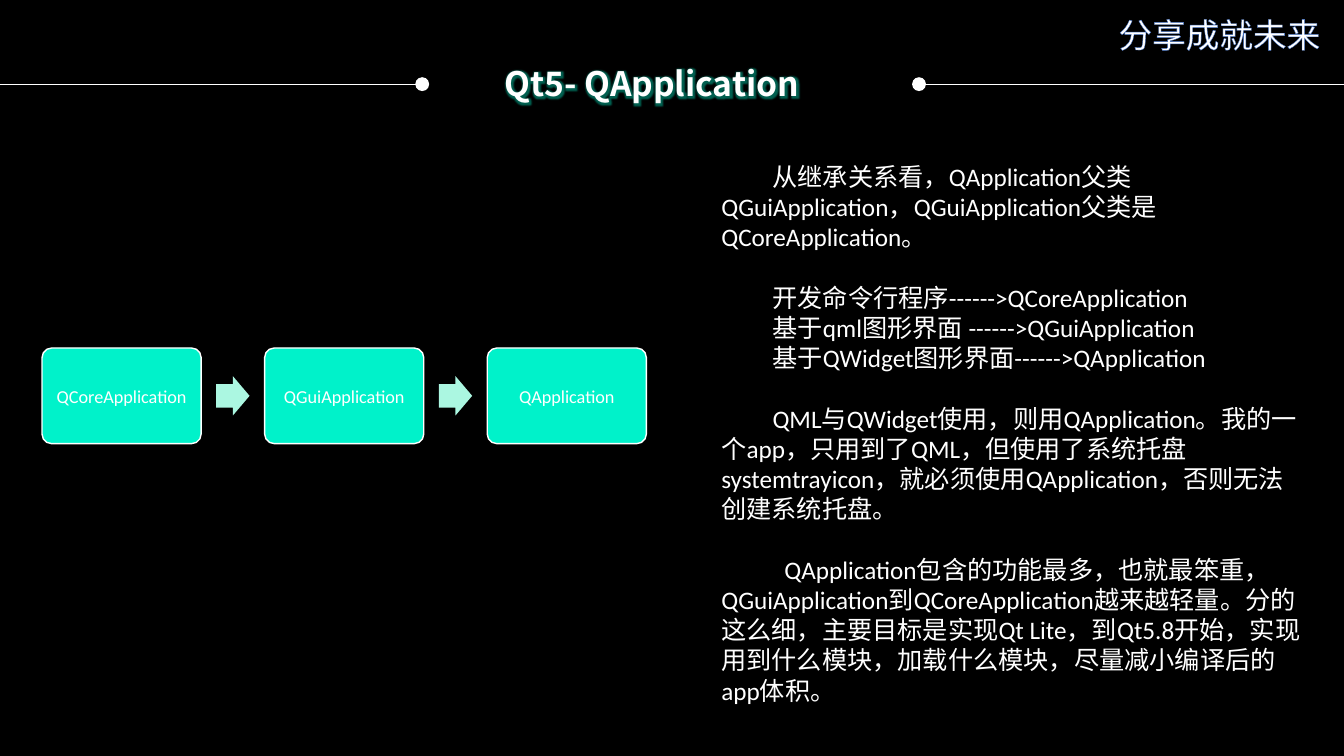
"""Build the Qt5 QApplication slide: title bar, class chain and explanation."""
import pptx
import pptx.dml.color
import pptx.enum.shapes
import pptx.enum.text
import pptx.oxml
import pptx.oxml.ns
import pptx.util

Cm = pptx.util.Cm
Pt = pptx.util.Pt
RGB = pptx.dml.color.RGBColor
SHAPE = pptx.enum.shapes.MSO_SHAPE
ALIGN = pptx.enum.text.PP_ALIGN
NS = pptx.oxml.ns.nsdecls("a")

TITLE = "Qt5- QApplication"
SLOGAN = "分享成就未来"
CHAIN = ["QCoreApplication", "QGuiApplication", "QApplication"]
# SECTION
BODY = [
    (1.29, 0, "从继承关系看，QApplication父类QGuiApplication，"
     "QGuiApplication父类是QCoreApplication。"),
    (1.29, 21.5, "开发命令行程序------>QCoreApplication"),
    (1.29, 0, "基于qml图形界面 ------>QGuiApplication"),
    (1.29, 0, "基于QWidget图形界面------>QApplication"),
    (1.29, 21.5, "QML与QWidget使用，则用QApplication。我的一个app，只用到了QML，"
     "但使用了系统托盘systemtrayicon，就必须使用QApplication，否则无法创建系统托盘。"),
    (1.59, 21.5, "QApplication包含的功能最多，也就最笨重，"
     "QGuiApplication到QCoreApplication越来越轻量。分的这么细，主要目标是实现Qt Lite，"
     "到Qt5.8开始，实现用到什么模块，加载什么模块，尽量减小编译后的app体积。"),
]
RULES = [(0, 10.64), (33.87, 23.16)]

BLACK = RGB(0, 0, 0)
WHITE = RGB(255, 255, 255)
TEAL = RGB(0x00, 0xF2, 0xCA)
MINT = RGB(0xAB, 0xF7, 0xE1)
BLUE = RGB(0x44, 0x72, 0xC4)


def style(para, size, face="Calibri", bold=False):
    font = para.font
    font.size, font.name, font.bold = Pt(size), face, bold
    font.color.rgb = WHITE


def add_xml(node, tag, inner="", attrs=""):
    node.append(pptx.oxml.parse_xml(f"<a:{tag} {NS} {attrs}>{inner}</a:{tag}>"))


def add_text(slide, box, wrap=True):
    frame = slide.shapes.add_textbox(*map(Cm, box)).text_frame
    frame.word_wrap = wrap
    return frame


def add_rule(slide, start, end):
    rule = slide.shapes.add_connector(
        pptx.enum.shapes.MSO_CONNECTOR.STRAIGHT, Cm(start), Cm(2.12), Cm(end), Cm(2.12))
    rule.line.color.rgb = WHITE
    rule.line.width = Pt(0.5)
    add_xml(rule.line._get_or_add_ln(), "tailEnd", attrs='type="oval" w="lg" len="lg"')
    add_xml(rule._element.spPr, "effectLst")


def add_block(slide, kind, box, fill, adjust):
    block = slide.shapes.add_shape(kind, *map(Cm, box))
    block.shadow.inherit = False
    block.fill.solid()
    block.fill.fore_color.rgb = fill
    block.line.fill.background()
    for place, value in enumerate(adjust):
        block.adjustments[place] = value
    return block


def add_chain(slide):
    left, pitch = 1.06, 5.61
    for step, name in enumerate(CHAIN):
        x = left + step * pitch
        card = add_block(slide, SHAPE.ROUNDED_RECTANGLE, (x, 8.77, 4.01, 2.41), TEAL, [0.1])
        card.line.color.rgb = WHITE
        card.line.width = Pt(1)
        frame = card.text_frame
        frame.margin_left = frame.margin_right = Cm(0.13)
        frame.margin_top = frame.margin_bottom = Cm(0.13)
        para = frame.paragraphs[0]
        para.text = name
        para.alignment = ALIGN.CENTER
        style(para, 13)
        if step < len(CHAIN) - 1:
            add_block(slide, SHAPE.RIGHT_ARROW, (x + 4.39, 9.48, 0.84, 0.99), MINT, [0.6, 0.5])


def add_body(slide):
    frame = add_text(slide, (17.93, 3.94, 15.27, 13.34))
    for row, (indent, gap, words) in enumerate(BODY):
        para = frame.add_paragraph() if row else frame.paragraphs[0]
        para.text = words
        para._p.get_or_add_pPr().set("indent", str(Cm(indent)))
        if gap:
            para.space_before = Pt(gap)
        style(para, 18)


def main():
    deck = pptx.Presentation()
    deck.slide_width, deck.slide_height = Cm(33.87), Cm(19.05)
    slide = deck.slides.add_slide(deck.slide_layouts[6])
    slide.background.fill.solid()
    slide.background.fill.fore_color.rgb = BLACK

    for start, end in RULES:
        add_rule(slide, start, end)

    title = add_text(slide, (12.47, 1.47, 8.92, 1.27)).paragraphs[0]
    title.text = TITLE
    style(title, 24, "Noto Sans CJK SC", True)
    glow = (f'<a:glow rad="{Pt(8)}"><a:srgbClr val="{TEAL}">'
            '<a:alpha val="40000"/></a:srgbClr></a:glow>')
    add_xml(title.runs[0]._r.get_or_add_rPr(), "effectLst", glow)

    slogan = add_text(slide, (27.94, 0.23, 5.59, 1.27), False).paragraphs[0]
    slogan.text = SLOGAN
    style(slogan, 24)
    edge = f'<a:solidFill><a:srgbClr val="{BLUE}"/></a:solidFill>'
    add_xml(slogan.runs[0]._r.get_or_add_rPr(), "ln", edge, f'w="{Pt(0.8)}"')

    add_chain(slide)
    add_body(slide)
    deck.save("out.pptx")


if __name__ == "__main__":
    main()
